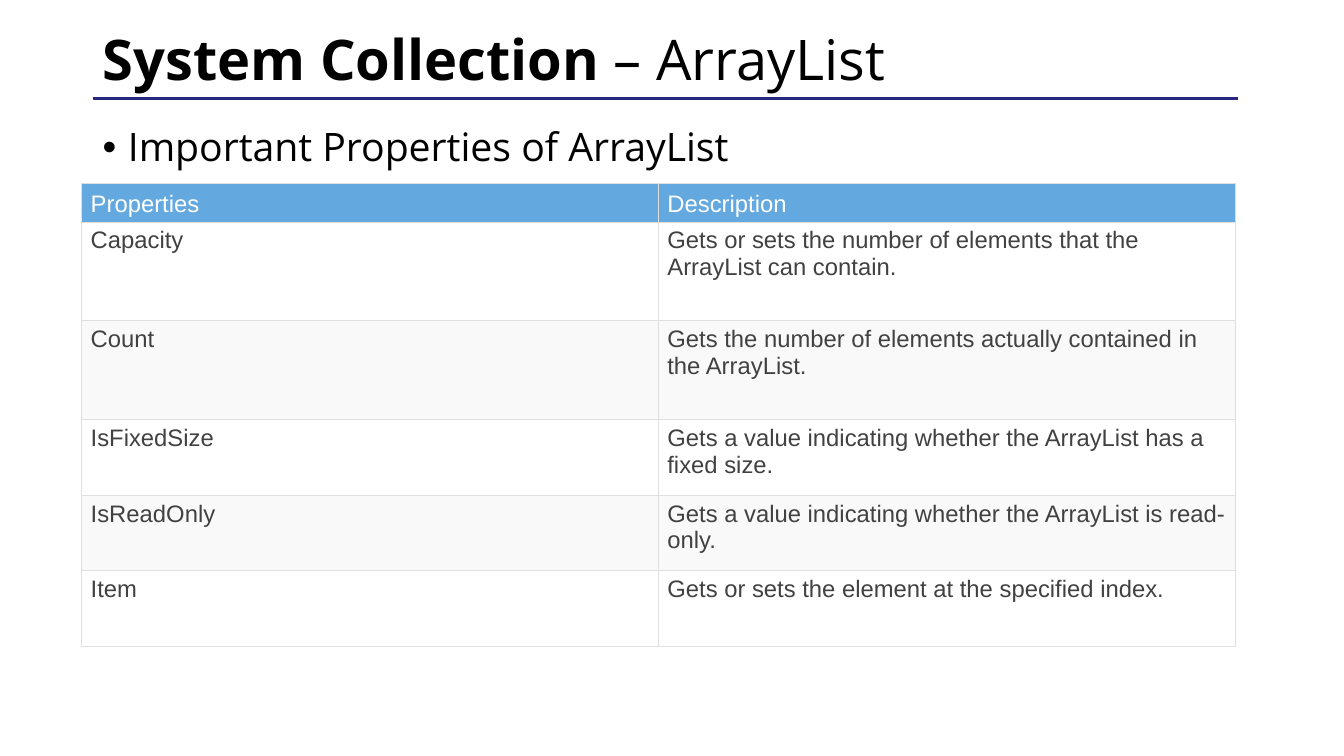
from lxml.etree import SubElement
from pptx import Presentation
from pptx.dml.color import RGBColor
from pptx.enum.text import MSO_ANCHOR as Anchor, PP_ALIGN as Align
from pptx.enum.shapes import MSO_CONNECTOR as Connector
from pptx.oxml.ns import qn
from pptx.util import Inches, Pt

BLACK = RGBColor(0x00, 0x00, 0x00)
WHITE = RGBColor(0xFF, 0xFF, 0xFF)
NAVY = RGBColor(0x27, 0x27, 0x80)
SKY = RGBColor(0x63, 0xA9, 0xE0)
BAND = RGBColor(0xF9, 0xF9, 0xF9)
GRAPHITE = RGBColor(0x41, 0x41, 0x41)
BORDER = RGBColor(0xDF, 0xDF, 0xDF)

HEADER = ("Properties", "Description")
PROPERTIES = [
    ("Capacity", "Gets or sets the number of elements that the ArrayList can contain."),
    ("Count", "Gets the number of elements actually contained in the ArrayList."),
    ("IsFixedSize", "Gets a value indicating whether the ArrayList has a fixed size."),
    ("IsReadOnly", "Gets a value indicating whether the ArrayList is read-only."),
    ("Item", "Gets or sets the element at the specified index."),
]
ROW_HEIGHTS = (0.36, 0.98, 0.98, 0.75, 0.75, 0.75)


def apply(target, values):
    for name, value in values.items():
        setattr(target, name, value)


class SlideBuilder:
    heading_font = "Open Sans"
    table_font = "Arial"
    margins = dict(margin_left=Inches(0.1), margin_right=Inches(0.1),
                   margin_top=Inches(0.05), margin_bottom=Inches(0.05))

    def __init__(self, slide):
        self.slide = slide

    def add_run(self, paragraph, text, size, color, font, bold=False):
        run = paragraph.add_run()
        run.text = text
        apply(run.font, dict(name=font, size=Pt(size), bold=bold))
        run.font.color.rgb = color

    def title(self, parts, left, top, width, height):
        shape = self.slide.shapes.title
        apply(shape, dict(left=Inches(left), top=Inches(top),
                          width=Inches(width), height=Inches(height)))
        apply(shape.text_frame, dict(self.margins, word_wrap=True,
                                     vertical_anchor=Anchor.MIDDLE))
        paragraph = shape.text_frame.paragraphs[0]
        apply(paragraph, dict(alignment=Align.LEFT, line_spacing=0.9))
        for text, bold in parts:
            self.add_run(paragraph, text, 40, BLACK, self.heading_font, bold)

    def rule(self, left, right, y):
        line = self.slide.shapes.add_connector(
            Connector.STRAIGHT, Inches(left), Inches(y), Inches(right), Inches(y))
        line.line.color.rgb = NAVY
        line.line.width = Pt(2)
        SubElement(line._element.spPr, qn("a:effectLst"))

    def bullet(self, text, left, top, width, height):
        box = self.slide.shapes.add_textbox(
            Inches(left), Inches(top), Inches(width), Inches(height))
        apply(box.text_frame, dict(self.margins, word_wrap=True))
        paragraph = box.text_frame.paragraphs[0]
        paragraph.line_spacing = 0.9
        self.add_run(paragraph, text, 28, BLACK, self.heading_font)
        properties = paragraph._p.get_or_add_pPr()
        properties.set("marL", str(Inches(0.25)))
        properties.set("indent", str(-Inches(0.25)))
        SubElement(properties, qn("a:buFont"), typeface="Arial")
        SubElement(properties, qn("a:buChar"), char="•")

    def borders(self, cell):
        properties = cell._tc.get_or_add_tcPr()
        for side in ("L", "R", "T", "B"):
            line = SubElement(properties, qn(f"a:ln{side}"), w=str(Pt(0.75)))
            fill = SubElement(line, qn("a:solidFill"))
            SubElement(fill, qn("a:srgbClr"), val=str(BORDER))

    def cell(self, cell, text, color, fill, anchor):
        apply(cell, dict(self.margins, vertical_anchor=anchor,
                         margin_left=Inches(0.09), margin_right=Inches(0.09)))
        self.add_run(cell.text_frame.paragraphs[0], text, 17, color, self.table_font)
        self.borders(cell)
        cell.fill.solid()
        cell.fill.fore_color.rgb = fill

    def table(self, rows, heights, left, top, width):
        table = self.slide.shapes.add_table(
            len(rows), len(rows[0]), Inches(left), Inches(top),
            Inches(width), Inches(sum(heights))).table
        for index, (texts, height) in enumerate(zip(rows, heights)):
            table.rows[index].height = Inches(height)
            if index == 0:
                style = (WHITE, SKY, Anchor.BOTTOM)
            else:
                style = (GRAPHITE, WHITE if index % 2 else BAND, Anchor.TOP)
            for column, text in enumerate(texts):
                self.cell(table.cell(index, column), text, *style)


def main():
    presentation = Presentation()
    presentation.slide_width = Inches(13.33)
    presentation.slide_height = Inches(7.5)
    builder = SlideBuilder(presentation.slides.add_slide(presentation.slide_layouts[5]))

    # Heading
    builder.rule(0.92, 12.28, 0.98)
    builder.title([("System Collection ", True), ("– ArrayList", False)],
                  0.92, 0.17, 11.5, 0.89)

    # Properties of the collection
    builder.bullet("Important Properties of ArrayList", 0.92, 1.22, 11.5, 5.53)
    builder.table([HEADER, *PROPERTIES], ROW_HEIGHTS, 0.81, 1.82, 11.44)

    presentation.save("out.pptx")


if __name__ == "__main__":
    main()
